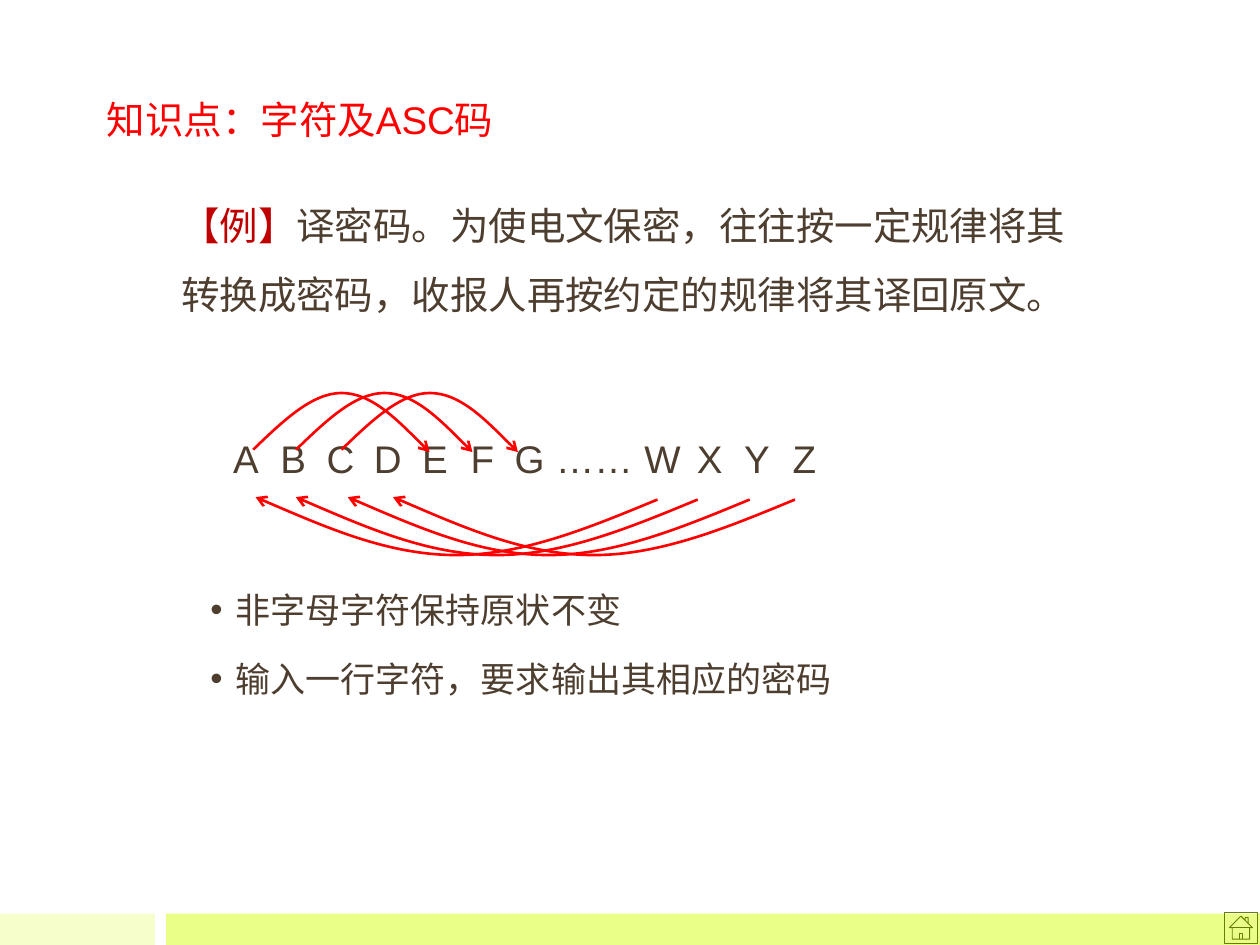
from lxml.etree import SubElement
from pptx import Presentation
from pptx.dml.color import RGBColor
from pptx.enum.shapes import MSO_SHAPE as SHAPE
from pptx.enum.text import MSO_ANCHOR as ANCHOR
from pptx.oxml.ns import qn
from pptx.util import Pt

RED, BROWN, DARK_RED = "FF0000", "4D3E2F", "C00000"


def rgb(value):
    return RGBColor.from_string(value)


def add_run(p, text, size, color):
    r = p.add_run()
    r.text = text
    r.font.size, r.font.name = Pt(size), "Arial"
    r.font.color.rgb = rgb(color)


def add_text_frame(slide, x, y, w, h, anchor=ANCHOR.TOP):
    tf = slide.shapes.add_textbox(Pt(x), Pt(y), Pt(w), Pt(h)).text_frame
    tf.word_wrap = True
    tf.vertical_anchor = anchor
    return tf


def add_tabs(p, stops):
    tabs = SubElement(p._p.get_or_add_pPr(), qn("a:tabLst"))
    for stop in stops:
        SubElement(tabs, qn("a:tab"), pos=str(Pt(stop)), algn="ctr")


def add_bullet(p, margin, hang):
    pPr = p._p.get_or_add_pPr()
    pPr.set("marL", str(Pt(margin)))
    pPr.set("indent", str(Pt(-hang)))
    SubElement(pPr, qn("a:buFont"), typeface="Arial")
    SubElement(pPr, qn("a:buChar"), char="•")


def add_title(slide, x, y, w, h):
    p = add_text_frame(slide, x, y, w, h, ANCHOR.BOTTOM).paragraphs[0]
    add_run(p, "知识点：字符及ASC码", 22, RED)


def add_body(slide, x, y, w, h):
    tf = add_text_frame(slide, x, y, w, h)
    p = tf.paragraphs[0]
    p.line_spacing = 1.5
    add_run(p, "【例】", 22, DARK_RED)
    add_run(p, "译密码。为使电文保密，往往按一定规律将其转换成密码，"
               "收报人再按约定的规律将其译回原文。", 22, BROWN)

    p = tf.add_paragraph()
    p.line_spacing, p.space_before = 1.5, Pt(54.4)
    stops = [37 + 27 * i for i in range(7)] + [236] + [275 + 27 * i for i in range(4)]
    add_tabs(p, stops)
    add_run(p, "".join("\t" + s for s in [*"ABCDEFG", "……", *"WXYZ"]), 22, BROWN)

    for text, gap in (("非字母字符保持原状不变", 49.2),
                      ("输入一行字符，要求输出其相应的密码", 3)):
        p = tf.add_paragraph()
        p.line_spacing, p.space_before = 1.5, Pt(gap)
        add_bullet(p, 31, 14.4)
        add_run(p, text, 20, BROWN)


def add_arc_arrow(slide, x, y, w, h, drop):
    """Curve from (x, y) over a peak h away to (x + w, y + drop)."""
    heights = (0, h / 2, h, h, h, (h + drop) / 2, drop)
    points = [(Pt(x + w * i / 6), Pt(y + dy)) for i, dy in enumerate(heights)]
    builder = slide.shapes.build_freeform(*points[0])
    builder.add_line_segments(points[1:], close=False)
    s = builder.convert_to_shape()
    s.shadow.inherit = False
    s.fill.background()
    s.line.color.rgb = rgb(RED)
    s.line.width = Pt(1.5)
    SubElement(s.line._get_or_add_ln(), qn("a:tailEnd"), type="arrow")

    # Regroup the six straight segments as two cubic curves.
    outline = s._element.spPr.find(".//" + qn("a:path"))
    segments = outline.findall(qn("a:lnTo"))
    for group in (segments[:3], segments[3:]):
        curve = SubElement(outline, qn("a:cubicBezTo"))
        for segment in group:
            curve.append(segment[0])
            outline.remove(segment)


def add_cipher_arrows(slide, x, y):
    for dx in (0, 24.5, 50.5):
        add_arc_arrow(slide, x + dx, y, 100.8, -32.4, 1.4)
    for dx in (231, 254, 283.7, 309.6):
        add_arc_arrow(slide, x + dx, y + 28.5, -229.7, 31.7, -1.4)


def add_block(slide, kind, x, y, w, h, fill=None, line=None):
    s = slide.shapes.add_shape(kind, Pt(x), Pt(y), Pt(w), Pt(h))
    s.shadow.inherit = False
    if fill:
        s.fill.solid()
        s.fill.fore_color.rgb = rgb(fill)
    else:
        s.fill.background()
    if line:
        s.line.color.rgb = rgb(line)
        s.line.width = Pt(0.5)
    else:
        s.line.fill.background()


def add_footer(slide, x, y, w, h):
    add_block(slide, SHAPE.RECTANGLE, x, y, 88.6, h, fill="F6FFCC")
    add_block(slide, SHAPE.RECTANGLE, x + 95, y, w - 95, h, fill="E9FF88")
    add_block(slide, SHAPE.ACTION_BUTTON_HOME, x + w - 20.2, y - 0.7, 18.7, 17.6,
              line="677E00")


def main():
    prs = Presentation()
    prs.slide_width, prs.slide_height = Pt(720), Pt(540)
    slide = prs.slides.add_slide(prs.slide_layouts[6])
    add_footer(slide, 0, 522, 720, 18)
    add_body(slide, 96.5, 98.6, 526.3, 375.8)
    add_title(slide, 54, 13.7, 612.7, 71.3)
    add_cipher_arrows(slide, 144.7, 257)
    prs.save("out.pptx")


if __name__ == "__main__":
    main()
